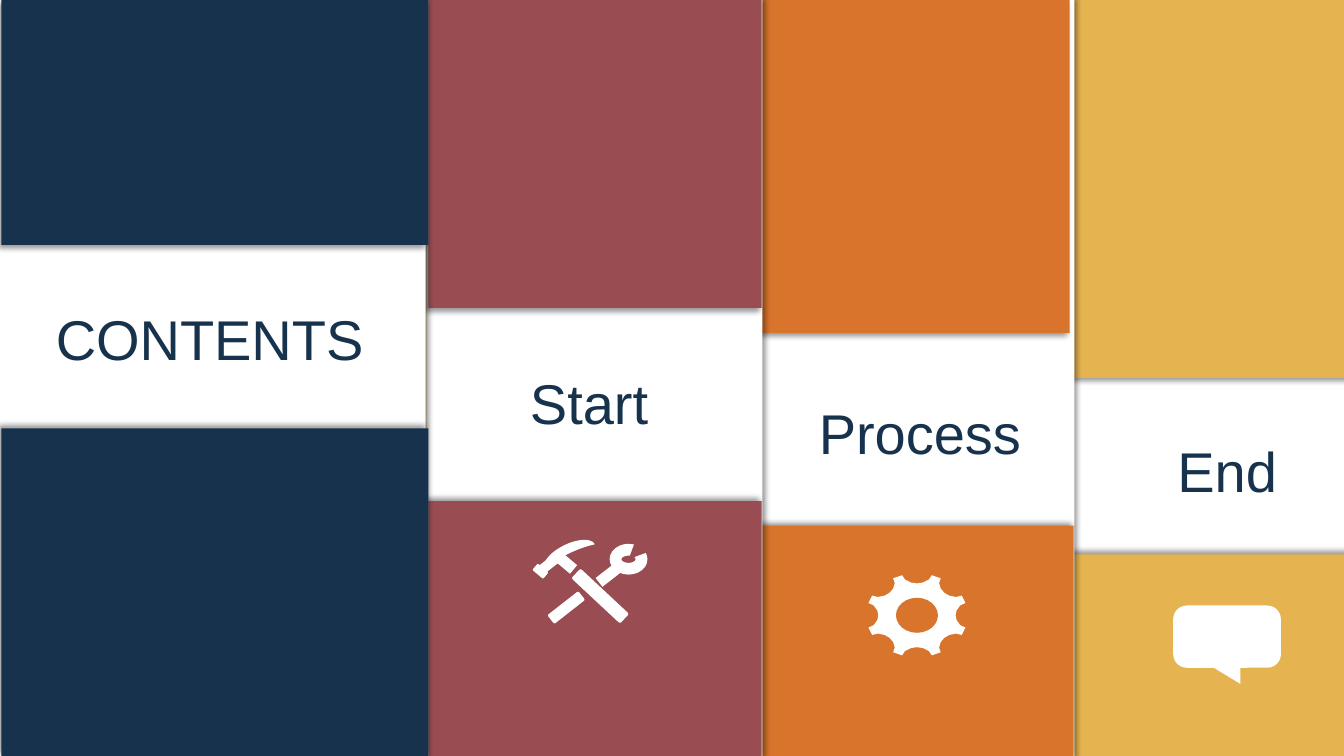
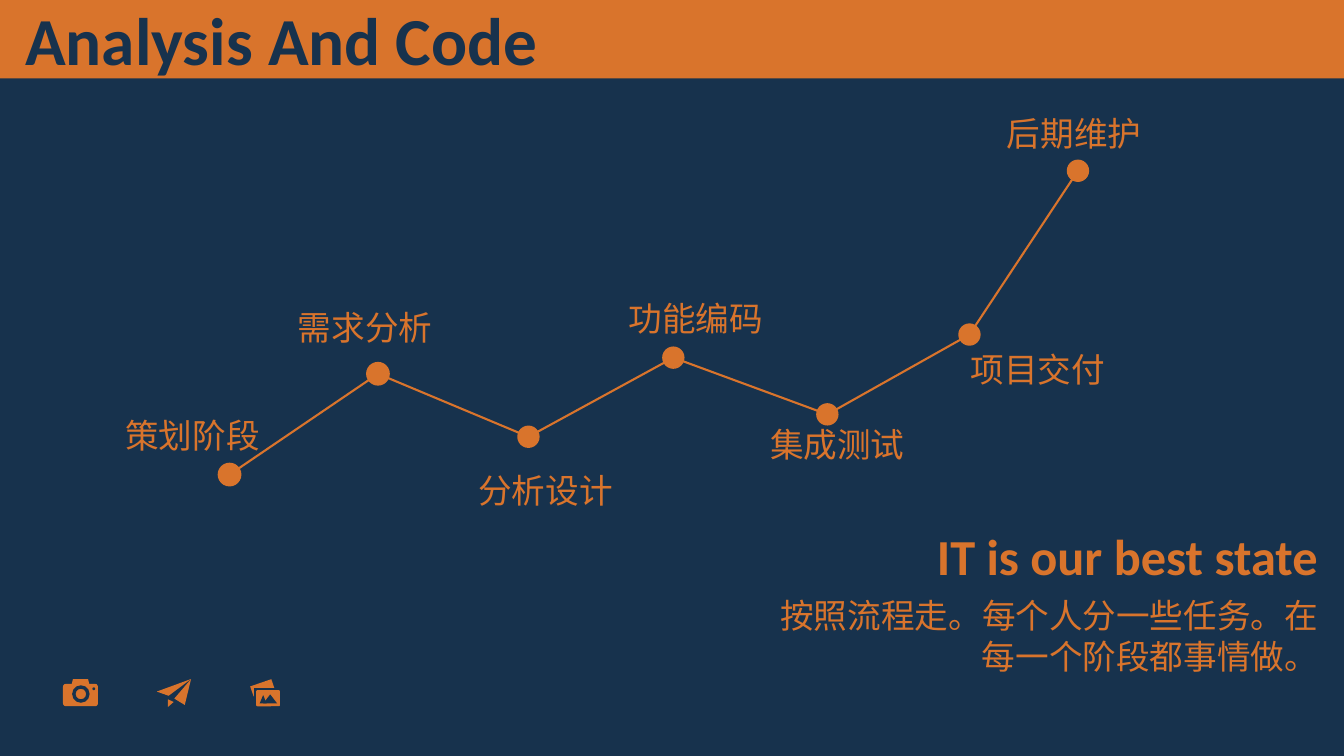
from math import cos, pi, sin

from lxml import etree
from pptx import Presentation
from pptx.dml.color import RGBColor as RGB
from pptx.enum.shapes import MSO_CONNECTOR as Connector, MSO_SHAPE as Preset
from pptx.enum.text import MSO_AUTO_SIZE as AutoSize, PP_ALIGN as Align
from pptx.oxml.ns import qn
from pptx.util import Pt

WIDTH, HEIGHT = 960, 540
COLORS = {
    "navy": "17324D",
    "red": "994C52",
    "orange": "D9742C",
    "gold": "E5B350",
    "base gold": "E7B552",
    "white": "FFFFFF",
    "black": "000000",
}
FORMATS = {
    "contents": {"name": "Arial", "size": Pt(40)},
    "title": {"name": "Calibri", "size": Pt(48), "bold": True},
    "slogan": {"name": "Calibri", "size": Pt(36), "bold": True},
    "body": {"name": "Calibri", "size": Pt(24)},
}


def paint(shape, color):
    """Give the shape a plain fill, no outline and no shadow."""
    shape.fill.solid()
    shape.fill.fore_color.rgb = RGB.from_string(COLORS[color])
    shape.line.fill.background()
    shape.shadow.inherit = False


def add_box(slide, preset, box, color, rotation=0, adjustments=()):
    """Add a painted preset shape; box is left, top, width, height in points."""
    shape = slide.shapes.add_shape(preset, *map(Pt, box))
    paint(shape, color)
    shape.rotation = rotation
    for index, value in enumerate(adjustments):
        shape.adjustments[index] = value
    return shape


presentation = Presentation()
presentation.slide_width, presentation.slide_height = Pt(WIDTH), Pt(HEIGHT)
blank_layout = presentation.slide_layouts[6]
labels = []  # slide, text, box, format, color, alignment

# Contents slide: columns from right to left, each one casting shadows on the last
contents_slide = presentation.slides.add_slide(blank_layout)
add_box(contents_slide, Preset.RECTANGLE, (0, 0, WIDTH, HEIGHT), "base gold")

OVERHANG = 3
# color, panel (left, width), upper left, lower left, block width,
# end of upper block, start of lower block, label, label (left, top, width)
columns = [
    ("gold", (766, 221), 766, 766, 221, 270, 396, "End", (744.5, 308, 264)),
    ("orange", (541.5, 226), 540, 543, 224, 238, 375.5, "Process", (525, 281, 264)),
    ("red", (304.5, 240), 306, 306, 238, 220, 358, "Start", (277.5, 260, 286.5)),
    ("navy", (-1, 305), 1, 1, 305, 175, 306, "CONTENTS", (-2.5, 214, 304.5)),
]
for (color, (panel_left, panel_width), upper_left, lower_left, block_width,
     upper_end, lower_start, text, (left, top, width)) in columns:
    blocks = [
        ((panel_left, -OVERHANG, panel_width, HEIGHT + OVERHANG), "white", 45),
        ((upper_left, 0, block_width, upper_end), color, 135),
        ((lower_left, lower_start, block_width, HEIGHT - lower_start), color, 225),
    ]
    for box, fill, shadow_angle in blocks:
        block = add_box(contents_slide, Preset.RECTANGLE, box, fill)
        effects = block._element.spPr.find(qn("a:effectLst"))
        shadow = etree.SubElement(
            effects, qn("a:outerShdw"), blurRad=str(Pt(4)), dist=str(Pt(3)),
            dir=str(shadow_angle * 60000), algn="ctr", rotWithShape="0")
        tint = etree.SubElement(shadow, qn("a:srgbClr"), val=COLORS["black"])
        etree.SubElement(tint, qn("a:alpha"), val="40000")
    labels.append((contents_slide, text, (left, top, width, 55),
                   "contents", "navy", Align.CENTER))

# Process slide: title band and a line of milestones
process_slide = presentation.slides.add_slide(blank_layout)
process_slide.background.fill.solid()
process_slide.background.fill.fore_color.rgb = RGB.from_string(COLORS["navy"])
add_box(process_slide, Preset.RECTANGLE, (0, 0, WIDTH, 56), "orange")

DOT = 16
OUTLINED_DOTS = 2
# text, dot center, label (left, top, width)
milestones = [
    ("策划阶段", (164, 339), (75, 292.5, 125)),
    ("需求分析", (270, 267), (176.5, 216, 168.5)),
    ("分析设计", (377.5, 312), (305.5, 332, 168.5)),
    ("功能编码", (481, 255.5), (435, 209.5, 124)),
    ("集成测试", (591, 296), (530.5, 299.5, 135)),
    ("项目交付", (692.5, 239), (665, 245.5, 152.5)),
    ("后期维护", (770, 122), (688.5, 77, 157.5)),
]
for index, (text, (x, y), (left, top, width)) in enumerate(milestones):
    dot = add_box(process_slide, Preset.OVAL,
                  (x - DOT / 2, y - DOT / 2, DOT, DOT), "orange")
    if index < OUTLINED_DOTS:
        dot.line.color.rgb = RGB.from_string(COLORS["orange"])
        dot.line.width = Pt(1)
    labels.append((process_slide, text, (left, top, width, 36),
                   "body", "orange", Align.CENTER))
centers = [center for _, center, _ in milestones]
for start, end in zip(centers, centers[1:]):
    connector = process_slide.shapes.add_connector(
        Connector.STRAIGHT, *map(Pt, start + end))
    connector.line.color.rgb = RGB.from_string(COLORS["orange"])
    connector.line.width = Pt(1.5)
    etree.SubElement(connector._element.spPr, qn("a:effectLst"))

# Text of both slides
labels += [
    (process_slide, "Analysis And Code", (11, -4.5, 389.5, 65.5),
     "title", "navy", Align.LEFT),
    (process_slide, "IT is our best state", (646, 371.5, 302.5, 51),
     "slogan", "orange", Align.RIGHT),
    (process_slide, "按照流程走。每个人分一些任务。在每一个阶段都事情做。",
     (535.5, 421.5, 413, 65.5), "body", "orange", Align.RIGHT),
]
for slide, text, box, style, color, alignment in labels:
    frame = slide.shapes.add_textbox(*map(Pt, box)).text_frame
    frame.word_wrap = True
    frame.auto_size = AutoSize.SHAPE_TO_FIT_TEXT
    paragraph = frame.paragraphs[0]
    paragraph.alignment = alignment
    run = paragraph.add_run()
    run.text = text
    for attribute, value in FORMATS[style].items():
        setattr(run.font, attribute, value)
    run.font.color.rgb = RGB.from_string(COLORS[color])

# Gear outline: one tooth profile turned around the center
TEETH = 8
GEAR_CENTER, GEAR_RADII = (655, 439.5), (34.5, 28.5)
# degrees from the middle of the tooth, share of the radius
tooth_profile = [(-22.5, 0.8), (-14, 0.83), (-7, 0.93), (-5.5, 1.05),
                 (5.5, 1.05), (7, 0.93), (14, 0.83)]
gear = []
for tooth in range(TEETH):
    for offset, share in tooth_profile:
        angle = ((tooth + 0.5) * 360 / TEETH + offset) * pi / 180
        gear.append((GEAR_CENTER[0] + GEAR_RADII[0] * share * cos(angle),
                     GEAR_CENTER[1] + GEAR_RADII[1] * share * sin(angle)))

# Paper plane: two wings meeting at the nose, and a keel
nose = (136.5, 485)
left_wing = [nose, (112, 494), (120.5, 497)]
right_wing = [nose, (124.5, 499), (132, 503.5)]
keel = [(120, 499.5), (124, 501.5), (120, 505)]

outlines = [(contents_slide, gear, "white")]
outlines += [(process_slide, part, "orange") for part in (left_wing, right_wing, keel)]
for slide, points, color in outlines:
    corners = [(Pt(x), Pt(y)) for x, y in points]
    builder = slide.shapes.build_freeform(*corners[0])
    builder.add_line_segments(corners[1:], close=True)
    paint(builder.convert_to_shape(), color)

# Icons from preset parts: preset, box inside the icon, color, rotation, adjustments
ANGLE_UNIT = 0.6  # adjustment value of one degree
gear_hole = [(Preset.OVAL, (-15, -12.5, 30, 25), "orange")]
speech_bubble = [
    (Preset.ROUNDED_RECTANGLE, (0, 0, 77, 44.5), "white", 0, [0.22]),
    (Preset.RIGHT_TRIANGLE, (29, 44.5, 19, 11.5), "white", 180),
]
hammer = [
    (Preset.ROUNDED_RECTANGLE, (25, 33, 47.5, 9.5), "white", 43, [0.15]),  # handle
    (Preset.MOON, (20.5, -14.5, 9, 40), "white", 64, [0.75]),  # claw
    (Preset.RECTANGLE, (16.5, 10, 15, 8), "white", 40),  # socket
    (Preset.RECTANGLE, (6, 11.5, 12, 7), "white", -38),  # neck
    (Preset.ROUNDED_RECTANGLE, (1, 17, 10, 6), "white", 40, [0.15]),  # face
]
wrench = [
    (Preset.ROUNDED_RECTANGLE, (10.5, 42, 28, 8), "white", -38, [0.15]),  # handle
    (Preset.RECTANGLE, (46, 18.5, 18, 8), "white", -38),  # neck
    (Preset.BLOCK_ARC, (55.5, 0.5, 27, 22), "white", 0,  # jaw
     [340 * ANGLE_UNIT, 290 * ANGLE_UNIT, 0.38]),
]
camera = [
    (Preset.ROUNDED_RECTANGLE, (0, 3.5, 25, 16), "orange", 0, [0.13]),
    (Preset.TRAPEZOID, (6, 0, 13, 4.5), "orange"),
    (Preset.DONUT, (6.5, 4.5, 12.5, 12.5), "navy", 0, [0.2]),
    (Preset.OVAL, (21, 6, 2, 2), "navy"),
]
photos = [
    (Preset.RECTANGLE, (0.5, 2.5, 16, 7.5), "orange", -19),  # back photo
    (Preset.RECTANGLE, (2.5, 6.5, 18.5, 13.5), "navy"),  # gap
    (Preset.ROUNDED_RECTANGLE, (4, 8, 17, 11.5), "orange", 0, [0.08]),
    (Preset.ISOSCELES_TRIANGLE, (6.5, 11.5, 5, 6), "navy"),  # mountains
    (Preset.ISOSCELES_TRIANGLE, (9, 11, 10, 6.5), "navy"),
]
icons = [
    (contents_slide, gear_hole, GEAR_CENTER),
    (contents_slide, speech_bubble, (838, 432.5)),
    (contents_slide, hammer + wrench, (380, 388)),
    (process_slide, camera, (45, 485)),
    (process_slide, photos, (179, 485)),
]
for slide, parts, (icon_left, icon_top) in icons:
    for preset, (left, top, width, height), *look in parts:
        add_box(slide, preset, (icon_left + left, icon_top + top, width, height), *look)

presentation.save("out.pptx")
